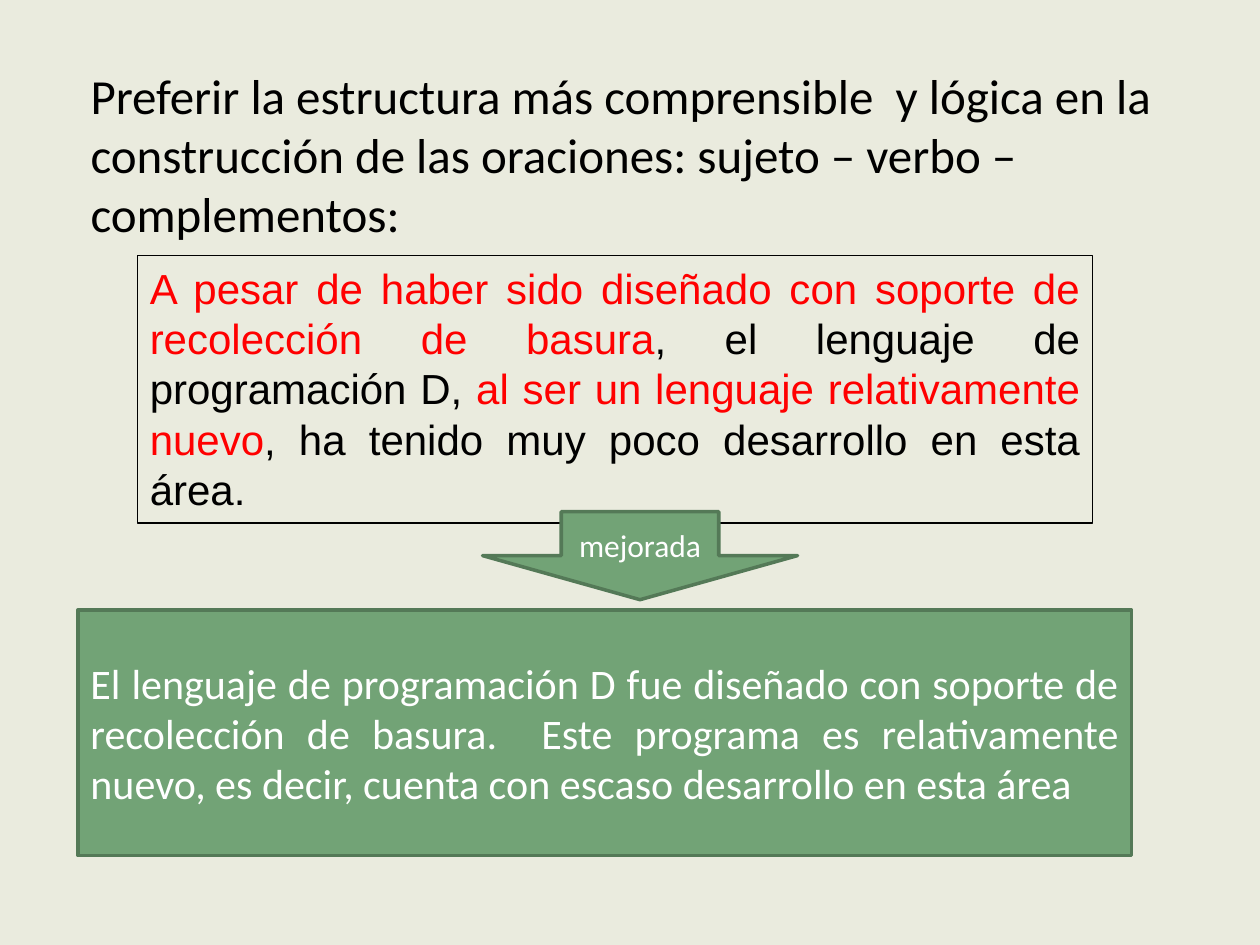
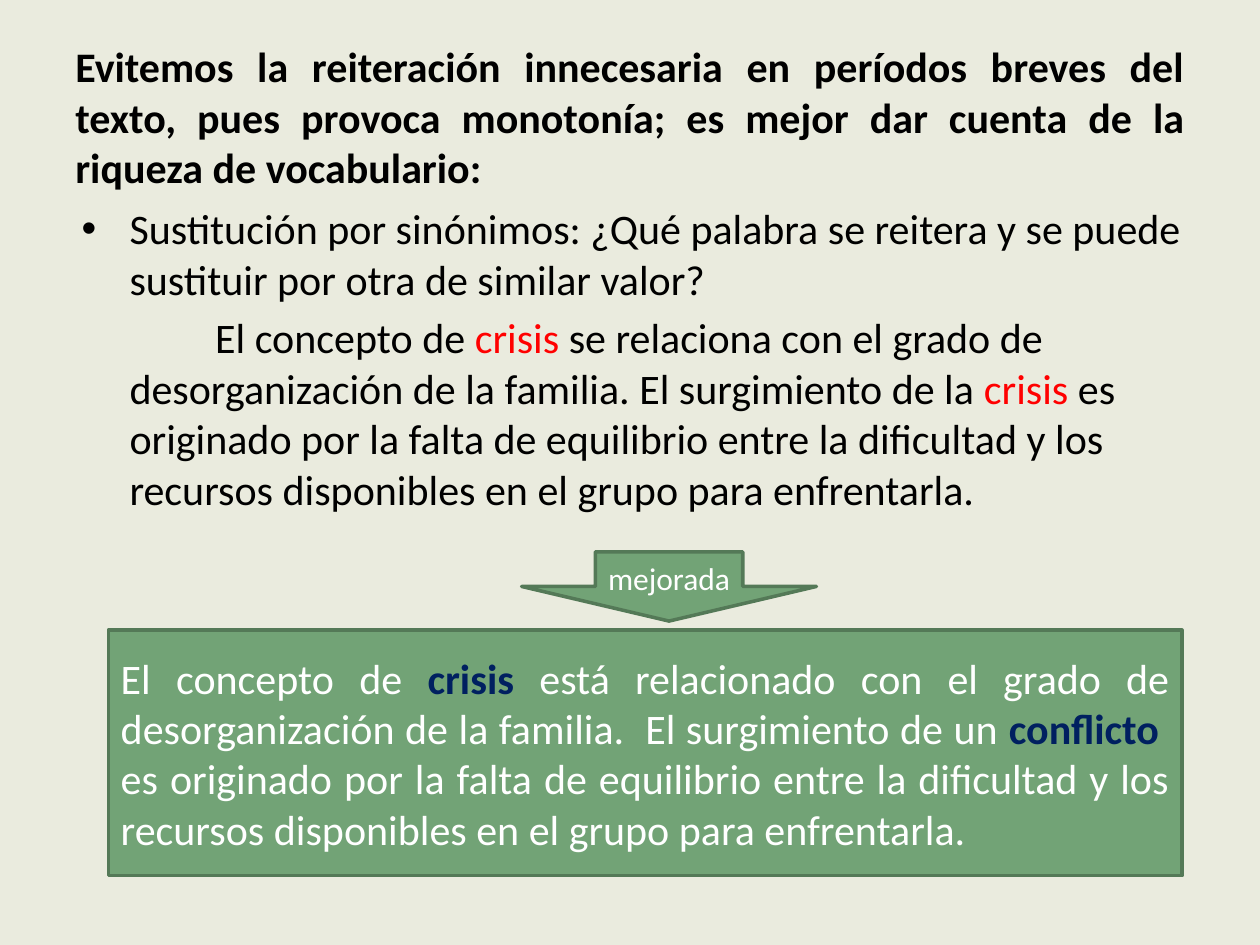
from lxml import etree
from pptx import Presentation, util as u
from pptx.dml.color import RGBColor
from pptx.enum import shapes, text
from pptx.oxml import ns

COLOURS = {
    "background": "EAEBDE",
    "ink": "000000",
    "faulty": "FF0000",
    "panel": "72A376",
    "panel_edge": "547957",
    "panel_ink": "FFFFFF",
    "synonym": "002060",
}
ALIGN, ANCHOR, SHAPE = text.PP_ALIGN, text.MSO_ANCHOR, shapes.MSO_SHAPE
PANEL = {"fill": "panel", "edge": "panel_edge", "edge_width": 2}

deck = Presentation()
deck.slide_width, deck.slide_height = u.Inches(10), u.Inches(7.5)
column, row = deck.slide_width / 100, deck.slide_height / 100


def rgb(name):
    return RGBColor.from_string(COLOURS[name])


def add_block(page, area, paragraphs, preset=None, style=None, frame=None, para_format=None, font=None):
    """Place text in a box or preset shape; area is in percent of the slide.

    A paragraph is a list of (wording, font overrides) pairs."""
    left, top, width, height = area
    place = [round(size) for size in (left * column, top * row, width * column, height * row)]
    if preset is None:
        box = page.shapes.add_textbox(*place)
    else:
        box = page.shapes.add_shape(preset, *place)
        box.shadow.inherit = False
        box.line.color.rgb = rgb(style["edge"])
        box.line.width = u.Pt(style["edge_width"])
        if "fill" in style:
            box.fill.solid()
            box.fill.fore_color.rgb = rgb(style["fill"])
        else:
            box.fill.background()

    frame_format = {"word_wrap": True, "vertical_anchor": ANCHOR.TOP} | (frame or {})
    for name, value in frame_format.items():
        setattr(box.text_frame, name, value)

    for index, spans in enumerate(paragraphs):
        para = box.text_frame.add_paragraph() if index else box.text_frame.paragraphs[0]
        for name, value in ({"alignment": ALIGN.LEFT} | (para_format or {})).items():
            setattr(para, name, value)
        for wording, overrides in spans:
            span = para.add_run()
            span.text = wording
            values = {"name": "Calibri", "size": u.Pt(24), "bold": False, "colour": "ink"}
            values |= (font or {}) | overrides
            span.font.color.rgb = rgb(values.pop("colour"))
            for name, value in values.items():
                setattr(span.font, name, value)
    return box


deck.slide_master.background.fill.solid()
deck.slide_master.background.fill.fore_color.rgb = rgb("background")
faulty = {"colour": "faulty"}
synonym = {"colour": "synonym", "bold": True}
justified = {"alignment": ALIGN.JUSTIFY}

# Sentence order
order_page = deck.slides.add_slide(deck.slide_layouts[6])
add_block(order_page, (6.2, 6.27, 87.5, 20.13), [[
    ("Preferir la estructura más comprensible  y lógica en la construcción "
     "de las oraciones: sujeto – verbo – complementos:", {}),
]], font={"size": u.Pt(28)})
add_block(order_page, (10.9, 27.07, 75.8, 28.27), [[
    ("A pesar de haber sido diseñado con soporte de recolección de basura", faulty),
    (", el lenguaje de programación D, ", {}),
    ("al ser un lenguaje relativamente nuevo", faulty),
    (", ha tenido muy poco desarrollo en esta área.", {}),
]], SHAPE.RECTANGLE, {"edge": "ink", "edge_width": 0.75},
    para_format=justified, font={"name": "Arial"})

# Repetition
synonym_page = deck.slides.add_slide(deck.slide_layouts[6])
add_block(synonym_page, (5, 4, 90, 16.67), [[
    ("Evitemos la reiteración innecesaria en períodos breves del texto, pues provoca "
     "monotonía; es mejor dar cuenta de la riqueza de vocabulario:", {}),
]], frame={"vertical_anchor": ANCHOR.MIDDLE}, para_format=justified, font={"bold": True})
example = add_block(synonym_page, (5.5, 20.8, 90, 34.93), [
    [("Sustitución por sinónimos: ¿Qué palabra se reitera y se puede sustituir "
      "por otra de similar valor?", {})],
    [("El concepto de ", {}),
     ("crisis ", faulty),
     ("se relaciona con el grado de desorganización de la familia. El surgimiento de la ", {}),
     ("crisis ", faulty),
     ("es originado por la falta de equilibrio entre la dificultad y los recursos "
      "disponibles en el grupo para enfrentarla.", {})],
], para_format={"space_before": u.Pt(4.8)})
for para, first_line in zip(example.text_frame.paragraphs, (-0.38, 0.68)):
    properties = para._p.get_or_add_pPr()
    properties.set("marL", str(u.Inches(0.38)))
    properties.set("indent", str(u.Inches(first_line)))
bullet_properties = example.text_frame.paragraphs[0]._p.get_or_add_pPr()
etree.SubElement(bullet_properties, ns.qn("a:buFont"), typeface="Arial")
etree.SubElement(bullet_properties, ns.qn("a:buChar"), char="•")

# Improved wording under an arrow, on both pages
improvements = [
    (order_page, (6.2, 64.53, 83.6, 26), (38.3, 54.13, 25, 9.33), [
        ("El lenguaje de programación D fue diseñado con soporte de recolección de basura.  "
         "Este programa es relativamente nuevo, es decir, cuenta con escaso desarrollo "
         "en esta área", {}),
    ]),
    (synonym_page, (8.6, 66.67, 85.2, 26), (41.4, 58.4, 23.4, 7.33), [
        ("El concepto de ", {}),
        ("crisis ", synonym),
        ("está relacionado con el grado de desorganización de la familia.  "
         "El surgimiento de un ", {}),
        ("conflicto  ", synonym),
        ("es originado por la falta de equilibrio entre la dificultad y los recursos "
         "disponibles en el grupo para enfrentarla.", {}),
    ]),
]
centred_frame = {"vertical_anchor": ANCHOR.MIDDLE}
arrow_frame = centred_frame | {"margin_left": 0, "margin_right": 0}
for page, panel_area, arrow_area, improved in improvements:
    add_block(page, panel_area, [improved], SHAPE.RECTANGLE, PANEL,
              centred_frame, justified, {"colour": "panel_ink"})
    add_block(page, arrow_area, [[("mejorada", {})]], SHAPE.DOWN_ARROW, PANEL,
              arrow_frame, {"alignment": ALIGN.CENTER},
              {"colour": "panel_ink", "size": u.Pt(18)})

deck.save("out.pptx")
